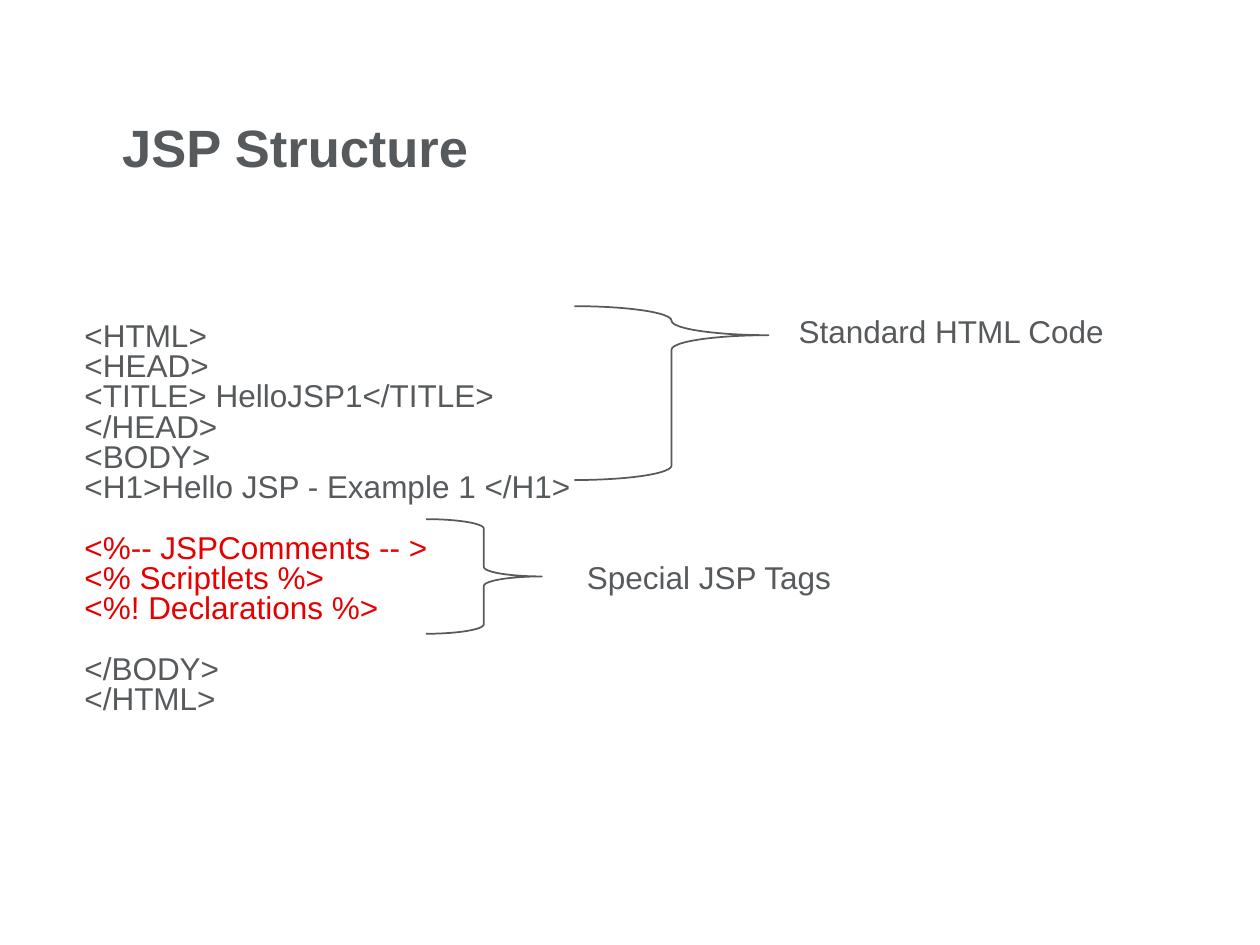
from dataclasses import dataclass

from pptx import Presentation
from pptx.dml.color import RGBColor
from pptx.enum.shapes import MSO_SHAPE as Preset
from pptx.enum.text import MSO_ANCHOR as Anchor, PP_ALIGN as Align
from pptx.util import Inches, Pt

INK = {"gray": "565A5C", "red": "E60000"}
FONT = "Arial"
GAP = 17.3


@dataclass
class Line:
    text: str
    ink: str = "gray"
    gap: float = 0


@dataclass
class Group:
    label: str
    spot: tuple[float, float, float, float]
    brace: tuple[float, float, float, float]
    point: float


CODE = [
    Line("<HTML>"),
    Line("<HEAD>"),
    Line("<TITLE> HelloJSP1</TITLE>"),
    Line("</HEAD>"),
    Line("<BODY>"),
    Line("<H1>Hello JSP - Example 1 </H1>"),
    Line("<%-- JSPComments -- >", "red", GAP),
    Line("<% Scriptlets %>", "red"),
    Line("<%! Declarations %>", "red"),
    Line("</BODY>", gap=GAP),
    Line("</HTML>"),
]

GROUPS = [
    Group("Standard HTML Code", (6.24, 2.43, 3.31, 0.5), (4.56, 2.43, 1.54, 1.38), 0.167),
    Group("Special JSP Tags", (4.56, 4.38, 2.75, 0.5), (3.38, 4.12, 0.92, 0.91), 0.5),
]

deck = Presentation()
deck.slide_width, deck.slide_height = Inches(10), Inches(7.5)
slide = deck.slides.add_slide(deck.slide_layouts[6])


def write(lines: list[Line], spot: tuple[float, float, float, float], *,
          size: float = 18, bold: bool = False, anchor: Anchor = Anchor.MIDDLE,
          align: Align = Align.LEFT, pitch: float = 1.0,
          inset: tuple[float, float, float, float] = (0, 0, 0, 0)) -> None:
    frame = slide.shapes.add_textbox(*map(Inches, spot)).text_frame
    frame.word_wrap = True
    frame.vertical_anchor = anchor
    (frame.margin_left, frame.margin_top,
     frame.margin_right, frame.margin_bottom) = map(Inches, inset)
    for i, line in enumerate(lines):
        para = frame.add_paragraph() if i else frame.paragraphs[0]
        para.alignment = align
        para.line_spacing = pitch
        para.space_before = Pt(line.gap)
        run = para.add_run()
        run.text = line.text
        run.font.name = FONT
        run.font.size = Pt(size)
        run.font.bold = bold
        run.font.color.rgb = RGBColor.from_string(INK[line.ink])


def mark(group: Group) -> None:
    brace = slide.shapes.add_shape(Preset.RIGHT_BRACE, *map(Inches, group.brace))
    brace.adjustments[0] = 0.083
    brace.adjustments[1] = group.point
    brace.shadow.inherit = False
    brace.fill.background()
    brace.line.color.rgb = RGBColor.from_string(INK["gray"])
    brace.line.width = Pt(1)
    write([Line(group.label)], group.spot, anchor=Anchor.TOP,
          inset=(0.1, 0.05, 0.1, 0.05))


write([Line("JSP Structure")], (0.93, 0.84, 6.17, 0.65), size=30, bold=True,
      inset=(0.04, 0, 0, 0))
write(CODE, (0.67, 1.69, 5.42, 4.87), align=Align.JUSTIFY, pitch=0.8)
for group in GROUPS:
    mark(group)

deck.save("out.pptx")
